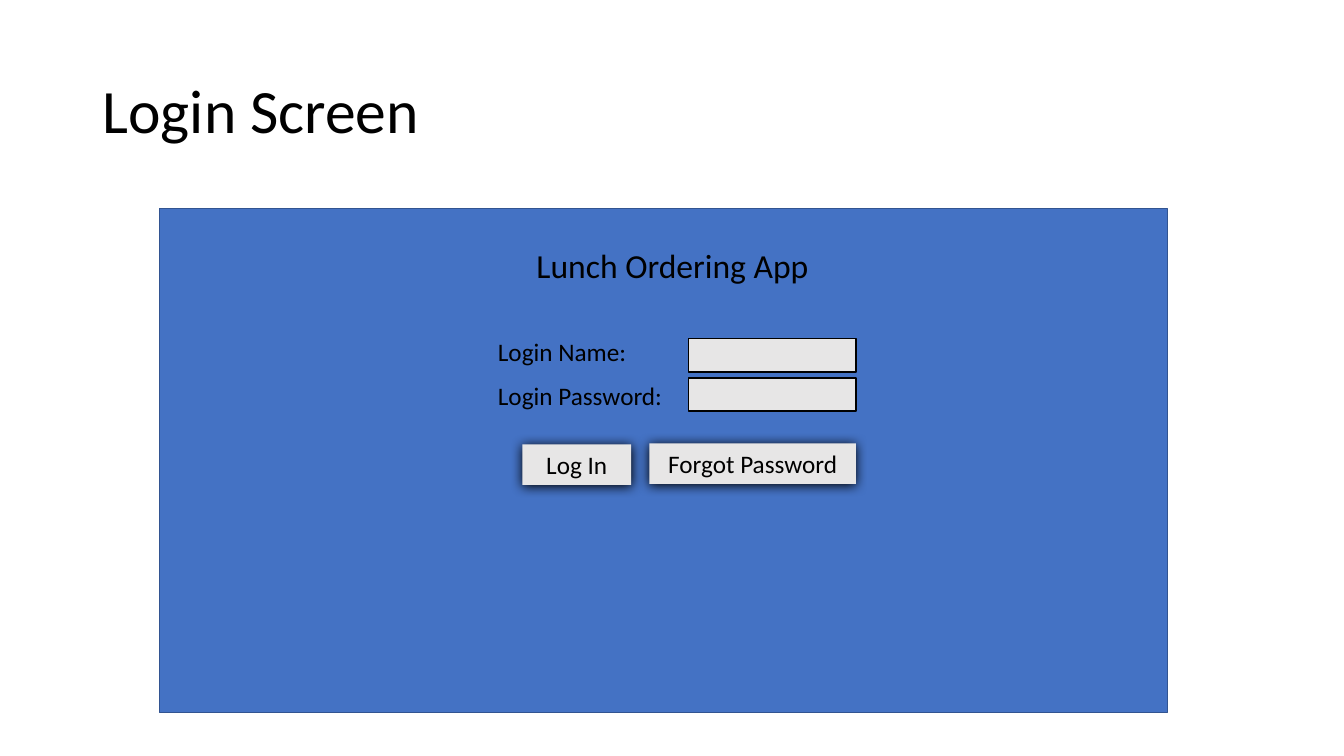
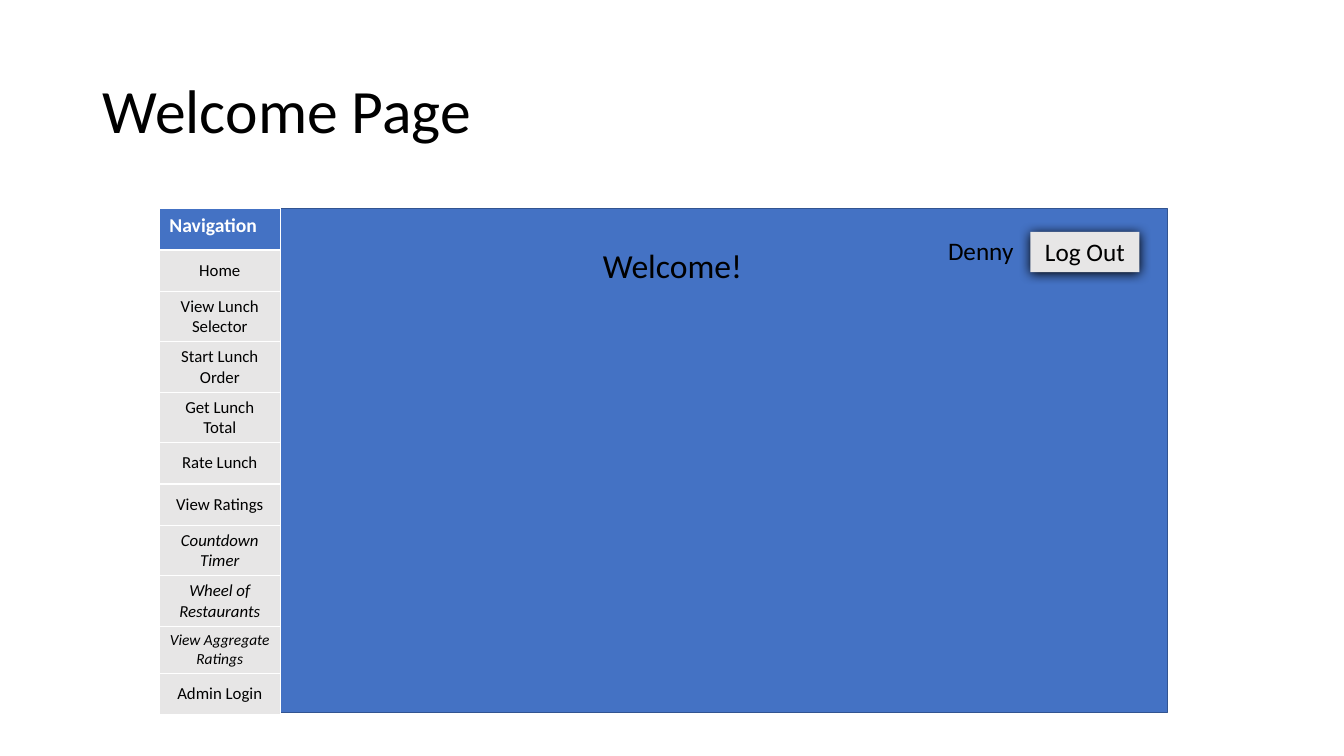
from lxml import etree
from pptx import Presentation
from pptx.dml.color import RGBColor
from pptx.enum.shapes import MSO_SHAPE
from pptx.enum.text import MSO_ANCHOR as Anchor, PP_ALIGN as Align
from pptx.oxml.ns import qn
from pptx.util import Inches, Pt

BLUE = RGBColor(0x44, 0x72, 0xC4)
DARK_BLUE = RGBColor(0x32, 0x54, 0x91)
GRAY = RGBColor(0xE7, 0xE6, 0xE6)
BLACK = RGBColor(0, 0, 0)
WHITE = RGBColor(0xFF, 0xFF, 0xFF)
FONT = "Calibri"
PANEL_LEFT, PANEL_TOP = 1.58, 2.07


def write(frame, text, size, align=Align.LEFT, color=BLACK):
    frame.word_wrap = True
    paragraph = frame.paragraphs[0]
    paragraph.text = text
    paragraph.alignment = align
    paragraph.font.name = FONT
    paragraph.font.size = Pt(size)
    paragraph.font.color.rgb = color
    return paragraph


def add_rectangle(slide, box, fill, line=None):
    shape = slide.shapes.add_shape(MSO_SHAPE.RECTANGLE, *map(Inches, box))
    shape.shadow.inherit = False
    shape.fill.solid()
    shape.fill.fore_color.rgb = fill
    if line is None:
        shape.line.fill.background()
    else:
        shape.line.color.rgb = line
        shape.line.width = Pt(1)
    return shape


presentation = Presentation()
presentation.slide_width = Inches(13.33)
presentation.slide_height = Inches(7.5)

screens = [
    {
        "title": "Login Screen",
        "heading": "Lunch Ordering App",
        "labels": [
            ("Login Name:", (4.84, 3.29, 1.75, 0.4), Align.LEFT),
            ("Login Password:", (4.84, 3.72, 1.88, 0.4), Align.LEFT),
        ],
        "fields": [(6.83, 3.36, 1.66, 0.33), (6.83, 3.75, 1.66, 0.33)],
        "buttons": [
            ("Log In", (5.18, 4.41, 1.08, 0.4)),
            ("Forgot Password", (6.44, 4.4, 2.05, 0.4)),
        ],
    },
    {
        "title": "Welcome Page",
        "heading": "Welcome!",
        "labels": [("Denny", (8.94, 2.29, 1.21, 0.4), Align.RIGHT)],
        "fields": [],
        "buttons": [("Log Out", (10.22, 2.3, 1.08, 0.4))],
    },
]

for screen in screens:
    slide = presentation.slides.add_slide(presentation.slide_layouts[6])

    title = slide.shapes.add_textbox(*map(Inches, (0.92, 0.4, 11.5, 1.45)))
    title.text_frame.vertical_anchor = Anchor.MIDDLE
    write(title.text_frame, screen["title"], 44).line_spacing = 0.9

    add_rectangle(slide, (PANEL_LEFT, PANEL_TOP, 10, 5), BLUE, DARK_BLUE)

    heading = slide.shapes.add_textbox(*map(Inches, (3.93, 2.38, 5.48, 0.5)))
    write(heading.text_frame, screen["heading"], 24, Align.CENTER)

    for text, box, align in screen["labels"]:
        label = slide.shapes.add_textbox(*map(Inches, box))
        write(label.text_frame, text, 18, align)

    for box in screen["fields"]:
        add_rectangle(slide, box, GRAY, BLACK)

    for text, box in screen["buttons"]:
        button = add_rectangle(slide, box, GRAY)
        button.text_frame.vertical_anchor = Anchor.TOP
        write(button.text_frame, text, 18, Align.CENTER)
        effects = button._element.spPr.find(qn("a:effectLst"))
        shadow = etree.SubElement(
            effects, qn("a:outerShdw"),
            blurRad=str(Pt(8.5)), dist=str(Pt(1)), dir="5400000",
            algn="t", rotWithShape="0",
        )
        etree.SubElement(shadow, qn("a:srgbClr"), val=str(BLACK))

navigation = [
    ("Home", 12, False),
    ("View Lunch Selector", 12, False),
    ("Start Lunch Order", 12, False),
    ("Get Lunch Total", 12, False),
    ("Rate Lunch", 12, False),
    ("View Ratings", 12, False),
    ("Countdown Timer", 12, True),
    ("Wheel of Restaurants", 12, True),
    ("View Aggregate Ratings", 11, True),
    ("Admin Login", 12, False),
]
row_height = 0.41
row_count = len(navigation) + 1
table = slide.shapes.add_table(
    row_count, 1, Inches(PANEL_LEFT), Inches(PANEL_TOP),
    Inches(1.2), Inches(row_height * row_count),
).table
table.horz_banding = False

header = table.cell(0, 0)
header.fill.solid()
header.fill.fore_color.rgb = BLUE
write(header.text_frame, "Navigation", 14, color=WHITE).font.bold = True

for row, (text, size, italic) in enumerate(navigation, start=1):
    cell = table.cell(row, 0)
    cell.fill.solid()
    cell.fill.fore_color.rgb = GRAY
    cell.vertical_anchor = Anchor.MIDDLE
    write(cell.text_frame, text, size, Align.CENTER).font.italic = italic

presentation.save("out.pptx")
